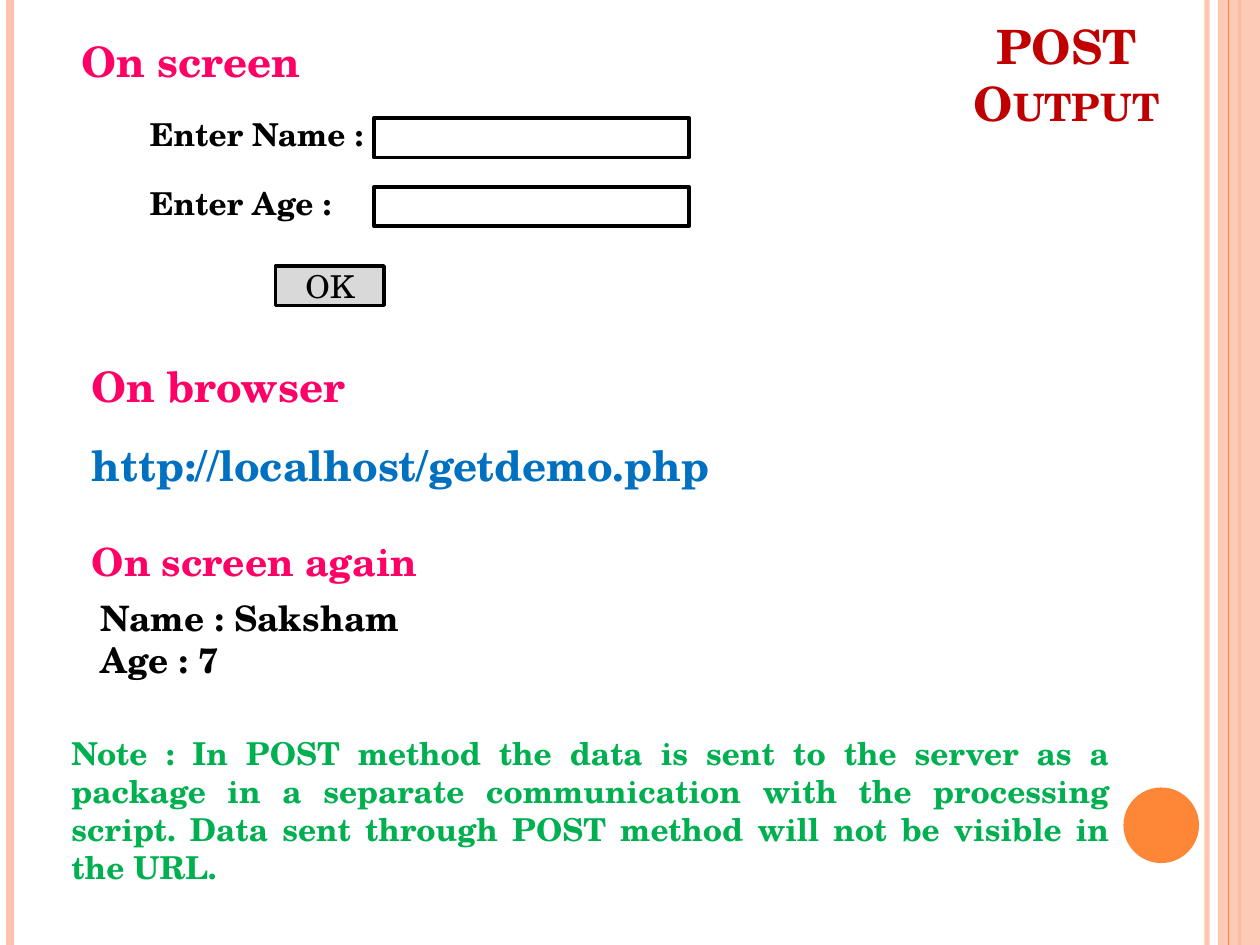
from lxml import etree
from pptx import Presentation
from pptx.dml.color import RGBColor
from pptx.enum import shapes, text
from pptx.oxml import ns
from pptx.util import Pt

FONT = "TeX Gyre Schola"
WIDTH, HEIGHT = 720, 540
COLORS = {
    "peach": "FEC3AE", "orange": "FE8637", "title": "C00000",
    "heading": "FF0066", "url": "0070C0", "note": "00B050",
    "button": "D9D9D9", "black": "000000",
}


def rgb(name):
    return RGBColor.from_string(COLORS[name])


def set_opacity(element, percent):
    """Make the colour inside a fill or line element partly transparent."""
    color = element.find(".//" + ns.qn("a:srgbClr"))
    etree.SubElement(color, ns.qn("a:alpha"), val=str(percent * 1000))


def add_stripe(slide, x, color, width, opacity=100):
    """Draw a vertical line over the full slide height."""
    stripe = slide.shapes.add_connector(
        shapes.MSO_CONNECTOR.STRAIGHT, Pt(x), 0, Pt(x), Pt(HEIGHT))
    stripe.line.color.rgb = rgb(color)
    stripe.line.width = Pt(width)
    properties = stripe.line._get_or_add_ln().getparent()
    etree.SubElement(properties, ns.qn("a:effectLst"))
    if opacity < 100:
        set_opacity(stripe.line._get_or_add_ln(), opacity)


def add_block(slide, kind, box, fill=None, outline=None):
    block = slide.shapes.add_shape(kind, *map(Pt, box))
    block.shadow.inherit = False
    if fill:
        block.fill.solid()
        block.fill.fore_color.rgb = rgb(fill)
    else:
        block.fill.background()
    if outline:
        block.line.color.rgb = rgb(outline)
        block.line.width = Pt(2)
    else:
        block.line.fill.background()
    return block


def write(frame, wording, size, color, bold=True, **paragraph_format):
    frame.text = wording
    paragraph = frame.paragraphs[0]
    for key, value in paragraph_format.items():
        setattr(paragraph, key, value)
    font_format = {"name": FONT, "size": Pt(size), "bold": bold}
    for run in paragraph.runs:
        for key, value in font_format.items():
            setattr(run.font, key, value)
        run.font.color.rgb = rgb(color)


def add_label(slide, box, wording, size, color, wrap=True, **paragraph_format):
    frame = slide.shapes.add_textbox(*map(Pt, box)).text_frame
    frame.word_wrap = wrap
    write(frame, wording, size, color, **paragraph_format)
    return frame


def add_decoration(slide):
    add_stripe(slide, 689.76, "peach", 3, opacity=93)
    add_stripe(slide, 5.76, "peach", 4.5)
    add_stripe(slide, 708.48, "orange", 1.5)
    band = add_block(slide, shapes.MSO_SHAPE.RECTANGLE,
                     (696, 0, WIDTH - 696, HEIGHT), "peach")
    set_opacity(band.fill._xPr, 87)
    add_stripe(slide, 702, "orange", 0.75)
    add_block(slide, shapes.MSO_SHAPE.OVAL, (642, 450, 43.2, 43.2), "orange")


def add_title(slide):
    frame = add_label(slide, (545.76, 22.32, 127.44, 56.16), "POST Output",
                      27, "title", alignment=text.PP_ALIGN.CENTER)
    frame.vertical_anchor = text.MSO_ANCHOR.BOTTOM
    frame.paragraphs[0].runs[0].font._element.set("cap", "small")


def add_form(slide):
    fields = [("Enter Name :", 62, 67.5), ("Enter Age :", 101.5, 106.75)]
    for wording, label_top, field_top in fields:
        add_label(slide, (78.5, label_top, 146, 29), wording, 18, "black")
        add_block(slide, shapes.MSO_SHAPE.RECTANGLE,
                  (213.75, field_top, 180, 22.5), outline="black")
    button = add_block(slide, shapes.MSO_SHAPE.RECTANGLE,
                       (157.5, 152, 62, 22.5), "button", "black")
    button.text_frame.vertical_anchor = text.MSO_ANCHOR.MIDDLE
    write(button.text_frame, "OK", 18, "black", bold=False,
          alignment=text.PP_ALIGN.CENTER)


def main():
    deck = Presentation()
    deck.slide_width, deck.slide_height = Pt(WIDTH), Pt(HEIGHT)
    slide = deck.slides.add_slide(deck.slide_layouts[6])

    add_decoration(slide)
    add_title(slide)
    headings = [
        ("On screen", 39.6, 16.5, 164, 24),
        ("On browser", 45.36, 202.5, 164, 24),
        ("On screen again", 45.36, 304, 208, 22.2),
    ]
    for wording, left, top, width, size in headings:
        add_label(slide, (left, top, width, 45), wording, size, "heading",
                  space_before=Pt(6))
    add_form(slide)
    add_label(slide, (45.36, 247.5, 371.5, 36), "http://localhost/getdemo.php",
              24, "url", wrap=False)
    add_label(slide, (50.4, 337.5, 360, 55.5), "Name : Saksham\vAge : 7",
              20, "black")
    add_label(slide, (33.75, 416, 607.5, 94.5),
              "Note : In POST method the data is sent to the server as a "
              "package in a separate communication with the processing "
              "script. Data sent through POST method will not be visible "
              "in the URL.",
              18, "note", alignment=text.PP_ALIGN.JUSTIFY)
    deck.save("out.pptx")


if __name__ == "__main__":
    main()
